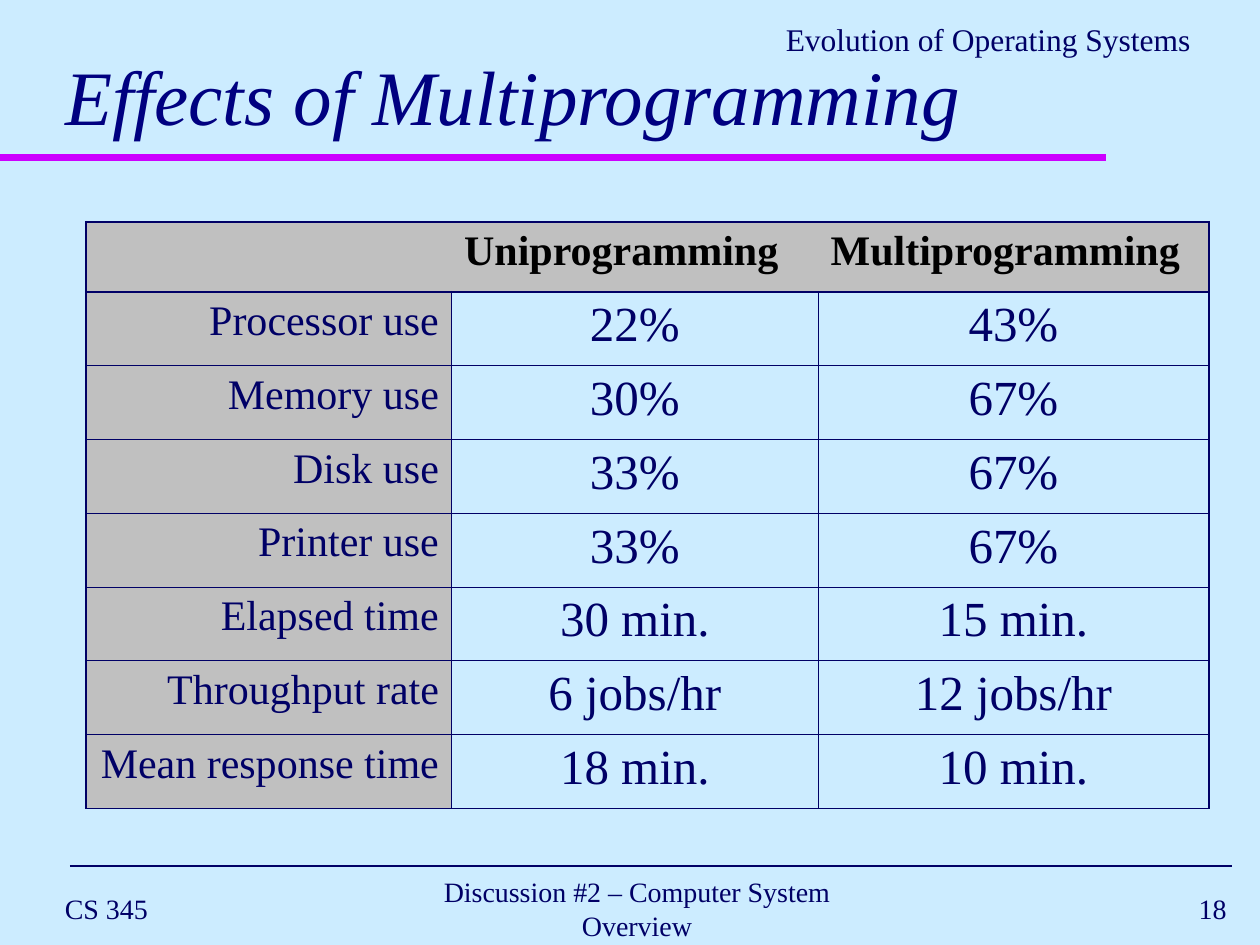
from lxml import etree
from pptx import Presentation
from pptx import util as u
from pptx.dml.color import RGBColor
from pptx.enum import shapes, text
from pptx.oxml.ns import qn

COLORS = {"bg": "CCECFF", "ink": "000066", "title": "000080",
          "rule": "CC00FF", "label": "C0C0C0", "header": "000000"}
ALIGN = text.PP_ALIGN
ANCHOR = text.MSO_ANCHOR
NO_GRID_STYLE = "{2D5ABB26-0587-4C30-8999-92F81FD0307C}"
THICK, THIN = 1.08, 0.45

ROWS = [
    ("", "Uniprogramming", "Multiprogramming"),
    ("Processor use", "22%", "43%"),
    ("Memory use", "30%", "67%"),
    ("Disk use", "33%", "67%"),
    ("Printer use", "33%", "67%"),
    ("Elapsed time", "30 min.", "15 min."),
    ("Throughput rate", "6 jobs/hr", "12 jobs/hr"),
    ("Mean response time", "18 min.", "10 min."),
]


def rgb(name):
    return RGBColor.from_string(COLORS[name])


class Deck:
    font = "Times New Roman"

    def __init__(self, width, height):
        self.prs = Presentation()
        self.prs.slide_width, self.prs.slide_height = u.Pt(width), u.Pt(height)
        self.s = self.prs.slides.add_slide(self.prs.slide_layouts[5])
        fill = self.s.background.fill
        fill.solid()
        fill.fore_color.rgb = rgb("bg")

    def set_text(self, tf, content, size, color="ink", align=ALIGN.LEFT,
                 bold=False, italic=False):
        p = tf.paragraphs[0]
        p.text = content
        p.alignment = align
        f = p.font
        f.name, f.size, f.bold, f.italic = self.font, u.Pt(size), bold, italic
        f.color.rgb = rgb(color)

    def title(self, content, x, y, w, h):
        sp = self.s.shapes.title
        sp.left, sp.top, sp.width, sp.height = map(u.Pt, (x, y, w, h))
        sp.text_frame.vertical_anchor = ANCHOR.BOTTOM
        self.set_text(sp.text_frame, content, 44, "title", italic=True)

    def line(self, x1, x2, y, color, weight):
        sp = self.s.shapes.add_connector(
            shapes.MSO_CONNECTOR.STRAIGHT, *map(u.Pt, (x1, y, x2, y)))
        sp.line.color.rgb = rgb(color)
        sp.line.width = u.Pt(weight)
        etree.SubElement(sp._element.spPr, qn("a:effectLst"))

    def label(self, content, x, y, w, h, size, align,
              anchor=ANCHOR.MIDDLE, wrap=False):
        tf = self.s.shapes.add_textbox(*map(u.Pt, (x, y, w, h))).text_frame
        tf.word_wrap = wrap
        tf.vertical_anchor = anchor
        self.set_text(tf, content, size, align=align)

    def borders(self, cell, widths):
        tcPr = cell._tc.get_or_add_tcPr()
        for side, width in zip("LRTB", widths):
            ln = etree.SubElement(tcPr, qn(f"a:ln{side}"), w=str(int(u.Pt(width))))
            if width:
                fill = etree.SubElement(ln, qn("a:solidFill"))
                etree.SubElement(fill, qn("a:srgbClr"), val=COLORS["ink"])
            else:
                etree.SubElement(ln, qn("a:noFill"))

    def table(self, rows, x, y, widths, heights):
        frame = self.s.shapes.add_table(
            len(rows), len(widths),
            *map(u.Pt, (x, y, sum(widths), sum(heights))))
        table = frame.table
        table.first_row = table.horz_banding = False
        table._tbl.tblPr.find(qn("a:tableStyleId")).text = NO_GRID_STYLE
        for column, width in zip(table.columns, widths):
            column.width = u.Pt(width)
        for row, height in zip(table.rows, heights):
            row.height = u.Pt(height)

        last_row, last_col = len(rows) - 1, len(widths) - 1
        for i, values in enumerate(rows):
            for j, value in enumerate(values):
                cell = table.cell(i, j)
                inner = THIN if i else 0
                left = THICK if j == 0 or (i and j == 1) else inner
                right = THICK if j == last_col or (i and j == 0) else inner
                top = THICK if i < 2 else THIN
                bottom = THICK if i in (0, last_row) else THIN
                self.borders(cell, (left, right, top, bottom))
                if i == 0 or j == 0:
                    cell.fill.solid()
                    cell.fill.fore_color.rgb = rgb("label")
                else:
                    cell.fill.background()
                if i == 0:
                    self.set_text(cell.text_frame, value, 24, "header", bold=True)
                elif j == 0:
                    self.set_text(cell.text_frame, value, 24, align=ALIGN.RIGHT)
                else:
                    self.set_text(cell.text_frame, value, 28, align=ALIGN.CENTER)


def main():
    deck = Deck(720, 540)
    deck.line(0, 632, 90, "rule", 4)
    deck.line(40, 704, 495, "ink", 1)
    for content, x, w, align in (
            ("CS 345", 30, 192, ALIGN.LEFT),
            ("Discussion #2 – Computer System Overview", 221, 286, ALIGN.CENTER),
            ("18", 558, 150, ALIGN.RIGHT)):
        deck.label(content, x, 504, w, 30, 16, align)
    deck.title("Effects of Multiprogramming", 30, 12, 666, 72)
    deck.table(ROWS, 49.2, 126.7, (208.8, 209.5, 223.2),
               [40] + [42.2] * (len(ROWS) - 1))
    deck.label("Evolution of Operating Systems", 409, 8, 278.6, 29, 18,
               ALIGN.RIGHT, ANCHOR.TOP, True)
    deck.prs.save("out.pptx")


if __name__ == "__main__":
    main()
